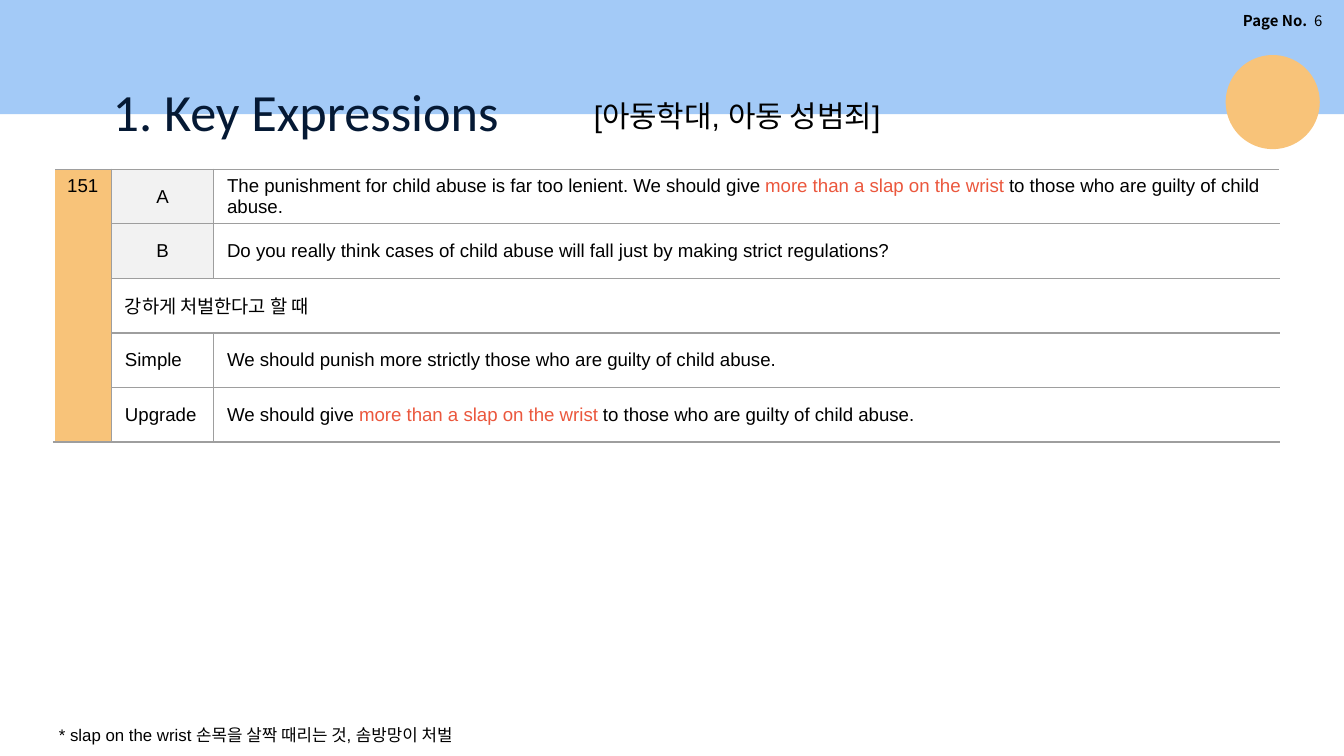
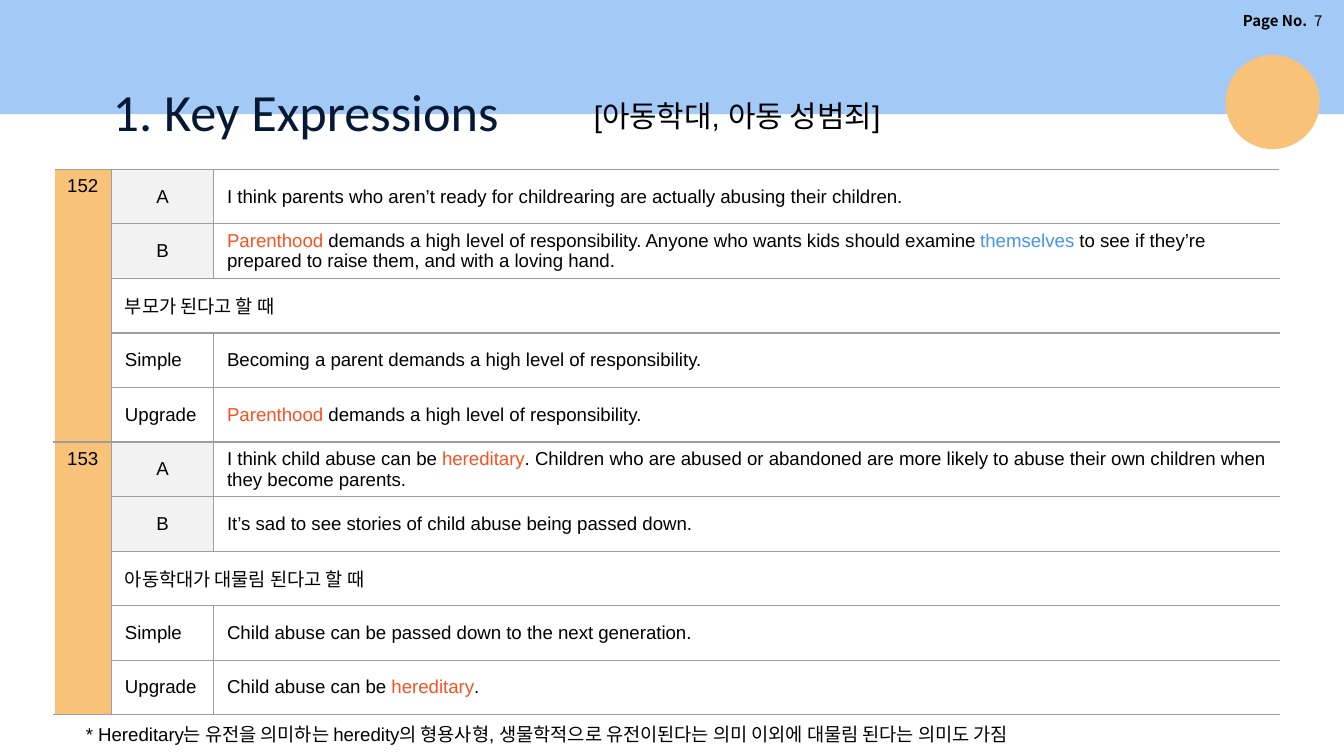
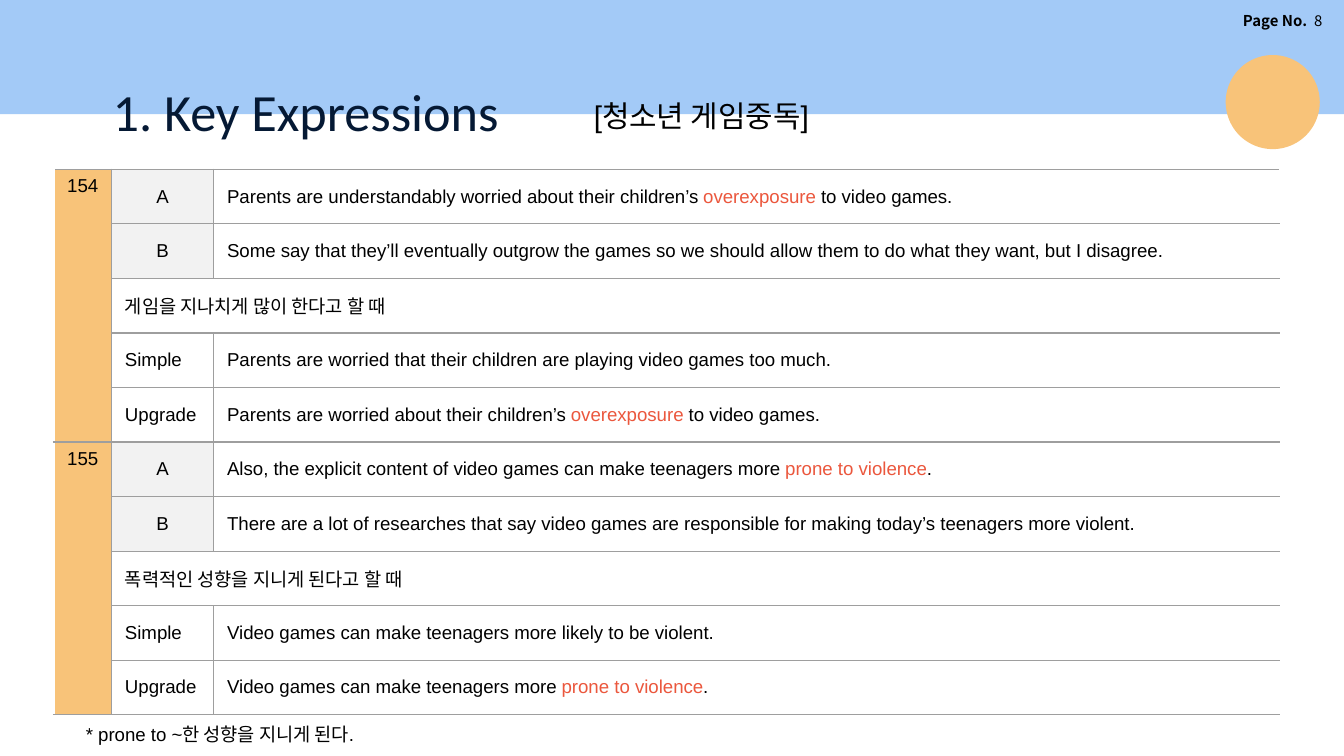
import pptx
import pptx.dml.color
import pptx.enum.shapes
import pptx.enum.text
import pptx.oxml
import pptx.util
from lxml import etree

Inches = pptx.util.Inches
Pt = pptx.util.Pt
ALIGN = pptx.enum.text.PP_ALIGN
ANCHOR = pptx.enum.text.MSO_ANCHOR
SHAPE = pptx.enum.shapes.MSO_SHAPE

BLACK, NAVY, WHITE = "000000", "051934", "FFFFFF"
BLUE, ORANGE, PALE, GREY = "A3CAF7", "F8C379", "F2F2F2", "9E9E9E"
CORAL, RED, SKY = "EB573D", "F7521F", "4594EF"

HEADING = "1. Key Expressions"
ROW_LABELS = ["A", "B", None, "Simple", "Upgrade"]
ROW_HEIGHT = Inches(4.06 / 10)
COLUMN_WIDTHS = [0.43, 0.76, 7.93]

# Phrases set between bars in the texts take these colours
ACCENTS = {
    "more than a slap on the wrist ": CORAL,
    "Parenthood": RED,
    "themselves": SKY,
    "hereditary": RED,
    "overexposure": CORAL,
    "prone to violence": CORAL,
}

LESSONS = [
    {
        "page": 6,
        "topic": "[아동학대, 아동 성범죄]",
        "topic_width": 2.98,
        "footnote": "* slap on the wrist 손목을 살짝 때리는 것, 솜방망이 처벌",
        "footnote_place": (0.34, 5.34, 9.66, 0.25, 9),
        "expressions": {
            "151": [
                "The punishment for child abuse is far too lenient. We should give "
                "|more than a slap on the wrist |to those who are guilty of child abuse.",
                "Do you really think cases of child abuse will fall just by making strict regulations?",
                "강하게 처벌한다고 할 때",
                "We should punish more strictly those who are guilty of child abuse.",
                "We should give |more than a slap on the wrist |to those who are guilty of child abuse.",
            ],
        },
    },
    {
        "page": 7,
        "topic": "[아동학대, 아동 성범죄]",
        "topic_width": 2.85,
        "footnote": "* Hereditary는 유전을 의미하는 heredity의 형용사형, "
                    "생물학적으로 유전이된다는 의미 이외에 대물림 된다는 의미도 가짐",
        "footnote_place": (0.54, 5.33, 8.69, 0.27, 10),
        "expressions": {
            "152": [
                "I think parents who aren’t ready for childrearing are actually abusing their children.",
                "|Parenthood| demands a high level of responsibility. Anyone who wants kids should "
                "examine |themselves| to see if they’re prepared to raise them, and with a loving hand.",
                "부모가 된다고 할 때",
                "Becoming a parent demands a high level of responsibility.",
                "|Parenthood| demands a high level of responsibility.",
            ],
            "153": [
                "I think child abuse can be |hereditary|. Children who are abused or abandoned are "
                "more likely to abuse their own children when they become parents.",
                "It’s sad to see stories of child abuse being passed down.",
                "아동학대가 대물림 된다고 할 때",
                "Child abuse can be passed down to the next generation.",
                "Child abuse can be |hereditary|.",
            ],
        },
    },
    {
        "page": 8,
        "topic": "[청소년 게임중독]",
        "topic_width": 2,
        "footnote": "* prone to ~한 성향을 지니게 된다.",
        "footnote_place": (0.54, 5.33, 5.48, 0.27, 10),
        "expressions": {
            "154": [
                "Parents are understandably worried about their children’s |overexposure| to video games.",
                "Some say that they’ll eventually outgrow the games so we should allow them "
                "to do what they want, but I disagree.",
                "게임을 지나치게 많이 한다고 할 때",
                "Parents are worried that their children are playing video games too much.",
                "Parents are worried about their children’s |overexposure| to video games.",
            ],
            "155": [
                "Also, the explicit content of video games can make teenagers more |prone to violence|.",
                "There are a lot of researches that say video games are responsible for making "
                "today’s teenagers more violent.",
                "폭력적인 성향을 지니게 된다고 할 때",
                "Video games can make teenagers more likely to be violent.",
                "Video games can make teenagers more |prone to violence|.",
            ],
        },
    },
]


def rgb(value):
    return pptx.dml.color.RGBColor.from_string(value)


def write(frame, text, size, font="Arial", color=BLACK):
    """Fill the first paragraph, colouring the phrases between bars."""
    frame.word_wrap = True
    paragraph = frame.paragraphs[0]
    paragraph.font.size = Pt(size)
    paragraph.font.name = font
    paragraph.font.color.rgb = rgb(color)
    for piece in filter(None, text.split("|")):
        run = paragraph.add_run()
        run.text = piece
        if piece in ACCENTS:
            run.font.color.rgb = rgb(ACCENTS[piece])
    return paragraph


deck = pptx.Presentation()
deck.slide_width = Inches(10)
deck.slide_height = Inches(10 * 9 / 16)

for lesson in LESSONS:
    slide = deck.slides.add_slide(deck.slide_layouts[6])
    shapes = slide.shapes

    for kind, color, place in [
        (SHAPE.RECTANGLE, BLUE, (0, 0, 10, 0.85)),
        (SHAPE.OVAL, ORANGE, (9.12, 0.41, 0.7, 0.7)),
    ]:
        ornament = shapes.add_shape(kind, *map(Inches, place))
        ornament.shadow.inherit = False
        ornament.fill.solid()
        ornament.fill.fore_color.rgb = rgb(color)
        ornament.line.fill.background()

    page_label = shapes.add_textbox(*map(Inches, (8.48, 0.04, 1.45, 0.23))).text_frame
    page_label.margin_left = page_label.margin_right = Inches(0.09)
    page_line = write(page_label, f"Page No.  |{lesson['page']}", 8, "Noto Sans CJK KR")
    page_line.alignment = ALIGN.RIGHT
    page_line.runs[0].font.bold = True

    heading = shapes.add_textbox(*map(Inches, (0.74, 0.49, 3.58, 0.63))).text_frame
    heading.margin_top = heading.margin_bottom = Inches(0.1)
    write(heading, HEADING, 28, "Calibri", NAVY)

    # Each numbered expression takes five rows of the table
    expressions = lesson["expressions"]
    row_count = len(expressions) * len(ROW_LABELS)
    table = shapes.add_table(row_count, 3, Inches(0.4), Inches(1.26),
                             Inches(9.11), ROW_HEIGHT * row_count).table
    table.first_row = table.horz_banding = False
    for column, width in zip(table.columns, COLUMN_WIDTHS):
        column.width = Inches(width)
    for row in table.rows:
        row.height = ROW_HEIGHT

    for block, (number, texts) in enumerate(expressions.items()):
        top = block * len(ROW_LABELS)
        number_cell = table.cell(top, 0)
        number_cell.merge(table.cell(top + len(ROW_LABELS) - 1, 0))
        number_cell.margin_right = 0
        write(number_cell.text_frame, number, 10)
        for row, (label, text) in enumerate(zip(ROW_LABELS, texts), top):
            label_cell, text_cell = table.cell(row, 1), table.cell(row, 2)
            for cell in (label_cell, text_cell):
                cell.vertical_anchor = ANCHOR.MIDDLE
                cell.margin_top = cell.margin_bottom = Inches(0.03)
            if label is None:
                label_cell.merge(text_cell)
                write(label_cell.text_frame, text, 10)
            else:
                label_line = write(label_cell.text_frame, label, 10)
                if label in ("A", "B"):
                    label_line.alignment = ALIGN.CENTER
                write(text_cell.text_frame, text, 10)

            fills = [ORANGE, PALE if label in ("A", "B") else None, None]
            for col, fill in enumerate(fills):
                cell = table.cell(row, col)
                properties = cell._tc.get_or_add_tcPr()
                for side in "LRTB":
                    outer = (side == "L" and col == 0) or (
                        side == "R" and (col == 2 or (label is None and col == 1)))
                    color, points = (WHITE, 1) if outer else (GREY, 0.75)
                    edge = etree.SubElement(properties, pptx.oxml.ns.qn(f"a:ln{side}"),
                                            w=str(Pt(points)))
                    solid = etree.SubElement(edge, pptx.oxml.ns.qn("a:solidFill"))
                    etree.SubElement(solid, pptx.oxml.ns.qn("a:srgbClr"), val=color)
                if fill:
                    cell.fill.solid()
                    cell.fill.fore_color.rgb = rgb(fill)
                else:
                    cell.fill.background()

    topic_place = (4.32, 0.68, lesson["topic_width"], 0.37)
    topic = shapes.add_textbox(*map(Inches, topic_place)).text_frame
    write(topic, lesson["topic"], 16)

    *place, size = lesson["footnote_place"]
    footnote = shapes.add_textbox(*map(Inches, place)).text_frame
    write(footnote, lesson["footnote"], size)

deck.save("out.pptx")
